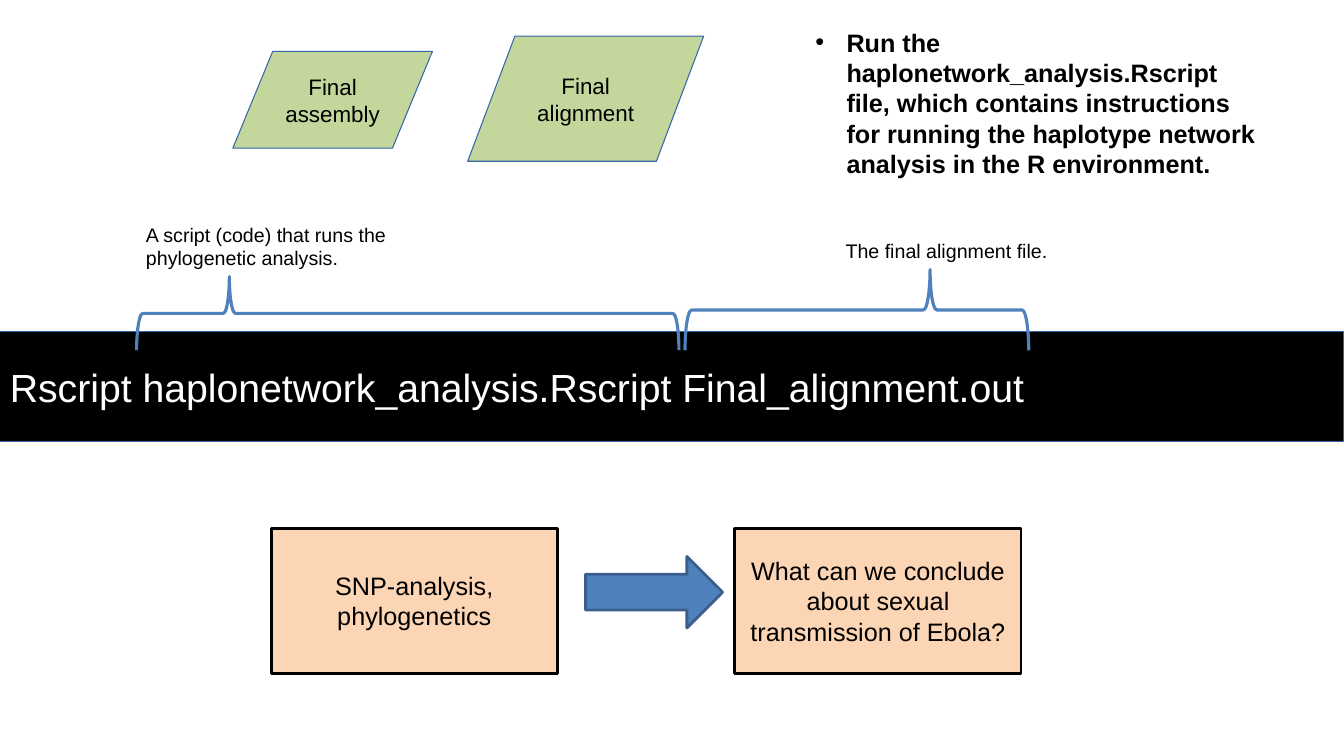
from pptx import Presentation
from pptx.dml.color import RGBColor
from pptx.enum.shapes import MSO_SHAPE
from pptx.enum.text import MSO_ANCHOR, MSO_AUTO_SIZE, PP_ALIGN
from pptx.util import Inches, Pt
from lxml.etree import SubElement
from pptx.oxml.ns import qn

# Grid: one column or row is a tenth of an inch
WIDE, HIGH = 133.33, 75

BLACK = RGBColor(0x00, 0x00, 0x00)
WHITE = RGBColor(0xFF, 0xFF, 0xFF)
GREEN = RGBColor(0xC3, 0xD6, 0xB5 - 0x1A)
PEACH = RGBColor(0xFC, 0xD5, 0xB5)
BLUE = RGBColor(0x4F, 0x81, 0xBD)
NAVY = RGBColor(0x3A, 0x5F, 0x8C)
EDGE = RGBColor(0x34, 0x65, 0xA4)


def grid(n):
    return Inches(n / 10)


def place(box, x, y, w, h):
    """Turn a part's place within a box into slide lengths."""
    return [grid(n) for n in (box[0] + x, box[1] + y, w, h)]


def write(shape, text, size, color=BLACK, align=PP_ALIGN.LEFT, bold=False):
    frame = shape.text_frame
    frame.word_wrap = True
    para = frame.paragraphs[0]
    para.text = text
    para.alignment = align
    font = para.font
    font.name, font.size, font.bold = "Arial", Pt(size), bold
    font.color.rgb = color
    return para


def draw(slide, kind, spot, fill, line, width):
    shape = slide.shapes.add_shape(kind, *spot)
    shape.shadow.inherit = False
    if fill is None:
        shape.fill.background()
    else:
        shape.fill.solid()
        shape.fill.fore_color.rgb = fill
    shape.line.color.rgb = line
    shape.line.width = Pt(width)
    shape.text_frame.vertical_anchor = MSO_ANCHOR.MIDDLE
    return shape


def add_brace(slide, box, x, y, w, h, tip):
    # A left brace turned to point up, so its sides are swapped
    spot = place(box, x + (w - h) / 2, y + (h - w) / 2, h, w)
    brace = draw(slide, MSO_SHAPE.LEFT_BRACE, spot, None, BLUE, 2.25)
    brace.rotation = 90
    brace.adjustments[0] = 0.083
    brace.adjustments[1] = tip


def add_label(slide, box, x, y, w, h, text):
    label = slide.shapes.add_textbox(*place(box, x, y, w, h))
    write(label, text, 14)
    label.text_frame.auto_size = MSO_AUTO_SIZE.SHAPE_TO_FIT_TEXT


def add_inputs(slide, box):
    parts = [("Final assembly", 0, 1.5, 19.8, 9.6),
             ("Final alignment", 23.3, 0, 23.4, 12.4)]
    for text, *spot in parts:
        shape = draw(slide, MSO_SHAPE.FLOWCHART_DATA, place(box, *spot),
                     GREEN, EDGE, 0.75)
        write(shape, text, 16, align=PP_ALIGN.CENTER)


def add_note(slide, box):
    note = slide.shapes.add_textbox(*place(box, 0, 0, *box[2:]))
    para = note.text_frame.paragraphs[0]
    props = para._p.get_or_add_pPr()
    props.set("marL", str(Inches(0.31)))
    props.set("indent", str(-Inches(0.31)))
    SubElement(props, qn("a:buFont")).set("typeface", "Arial")
    SubElement(props, qn("a:buChar")).set("char", "•")
    write(note, "Run the haplonetwork_analysis.Rscript file, which contains "
          "instructions for running the haplotype network analysis in the "
          "R environment.", 18, bold=True)


def add_command(slide, box):
    bar = draw(slide, MSO_SHAPE.RECTANGLE,
               place(box, 0, 11.3, box[2], box[3] - 11.3), BLACK, EDGE, 0.75)
    write(bar, "Rscript haplonetwork_analysis.Rscript Final_alignment.out",
          28, WHITE)
    # Script argument
    add_label(slide, box, 13.5, 0, 34.6, 5.7,
              "A script (code) that runs the phylogenetic analysis.")
    add_brace(slide, box, 13.55, 5.85, 53.8, 7.3, 0.829)
    # Alignment argument
    add_label(slide, box, 82.9, 1.6, 24.3, 3.4, "The final alignment file.")
    add_brace(slide, box, 67.95, 5.15, 34.1, 8, 0.287)


def add_flow(slide, box):
    step = 28.4
    parts = [("SNP-analysis, phylogenetics", 0),
             ("What can we conclude about sexual transmission of Ebola?",
              box[2] - step)]
    for text, x in parts:
        shape = draw(slide, MSO_SHAPE.RECTANGLE,
                     place(box, x, 0, step, box[3]), PEACH, BLACK, 2)
        write(shape, text, 18, align=PP_ALIGN.CENTER)
    draw(slide, MSO_SHAPE.RIGHT_ARROW, place(box, 31.2, 2.8, 13.6, 7.1),
         BLUE, NAVY, 2)


def main():
    deck = Presentation()
    deck.slide_width, deck.slide_height = grid(WIDE), grid(HIGH)
    slide = deck.slides.add_slide(deck.slide_layouts[6])
    # Regions as left, top, width, height
    add_inputs(slide, (23.1, 3.6, 46.7, 12.4))
    add_note(slide, (79.9, 2.2, 46.8, 14.8))
    add_command(slide, (0, 21.6, WIDE, 22.2))
    add_flow(slide, (26.9, 52.4, 74.4, 14.4))
    deck.save("out.pptx")


if __name__ == "__main__":
    main()
